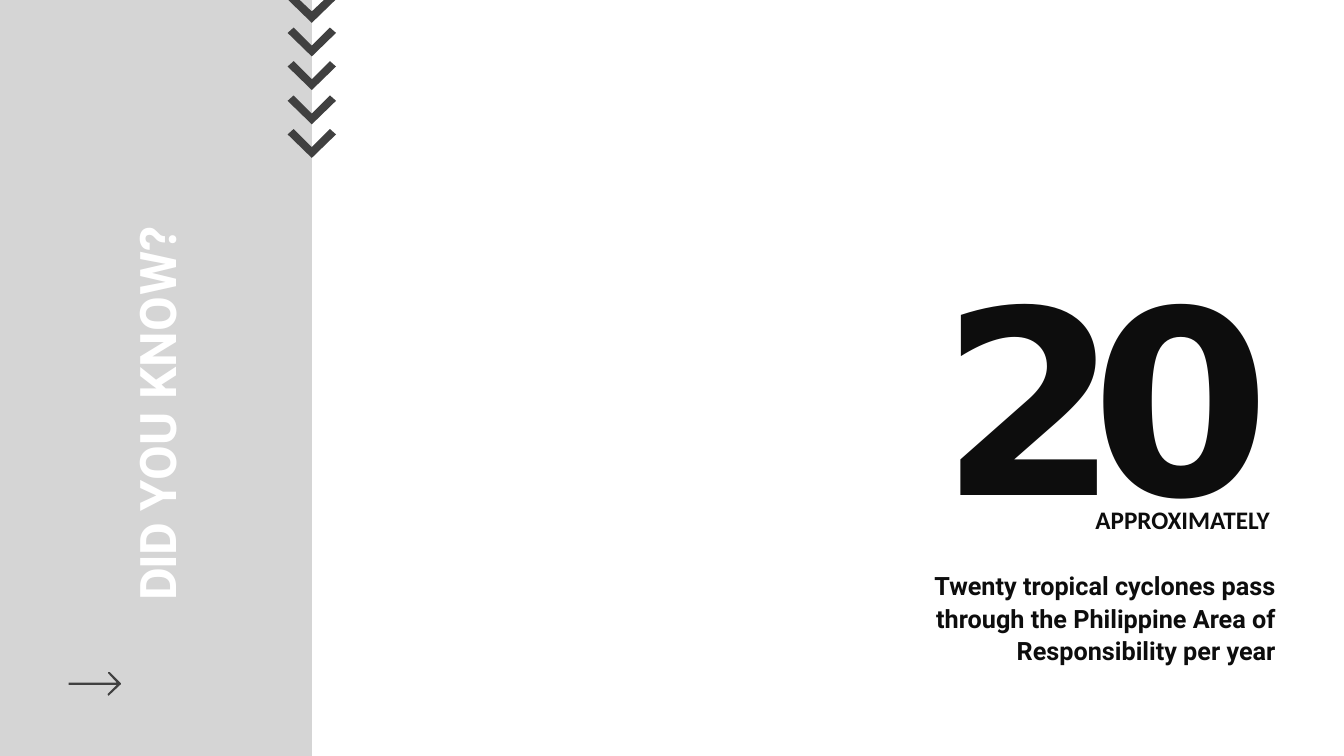
from pptx import Presentation
from pptx.dml.color import RGBColor
from pptx.enum.shapes import MSO_SHAPE as Shape
from pptx.enum.text import MSO_ANCHOR as Anchor, MSO_AUTO_SIZE as AutoSize, PP_ALIGN as Align
from pptx.util import Inches, Pt

# Content: each text is a list of (wording, letter spacing in points)
COLORS = {"panel": "D5D5D5", "mark": "404040", "ink": "0D0D0D", "white": "FFFFFF"}
# The title box is given before its quarter turn
TITLE = dict(runs=[("DID ", -1.3), ("YOU ", 0.3), ("KNOW?", 0.4)],
             box=(-1.55, 4.63, 7.73, 0.91), font="Roboto", size=54, color="white")
TEXTS = [
    dict(runs=[("20", -30.1)], box=(12.06, 3.53, 6.85, 4.66),
         font="DejaVu Sans", size=276, align=Align.RIGHT),
    dict(runs=[("Twenty tropical cyclones pass through the Philippine Area of "
                "Responsibility per year", 0)],
         box=(12.41, 8.45, 6.57, 1.43), font="Roboto", size=27,
         align=Align.RIGHT, indent=1, line_spacing=1.07),
    dict(runs=[("APPROXIMATELY", 0)], box=(15.29, 7.46, 3.7, 0.48),
         font="Calibri", size=27, indent=1, line_spacing=1.07),
]

# Menu bars: left, first top, width, height, step and count
BAR_LEFT, BAR_TOP, BAR_WIDTH, BAR_HEIGHT, BAR_STEP, BAR_COUNT = 18.37, 1.12, 0.51, 0.06, 0.14, 3

# Outlines in hundredths of an inch
UNIT = Inches(0.01)
PANEL_WIDTH = 464
ARROW = [(180, 1017), (163, 1000), (161, 1000), (161, 1002), (174, 1016), (102, 1016),
         (102, 1019), (174, 1019), (160, 1033), (161, 1035), (162, 1035), (180, 1018)]
CHEVRON = [(36, -35), (27, -43), (0, -16), (-27, -43), (-36, -35), (0, 0)]
CUT_CHEVRON = [(35, -34), (18, -34), (0, -17), (-18, -34), (-35, -34), (0, 0)]
FIRST_TIP, TIP_STEP, CHEVRON_COUNT = 34, 50.25, 5


def rgb(name):
    return RGBColor.from_string(COLORS[name])


def paint(shape, color):
    shape.fill.solid()
    shape.fill.fore_color.rgb = rgb(color)
    shape.line.fill.background()
    shape.shadow.inherit = False


def write(shape, runs, box, font, size, color="ink", align=Align.LEFT,
          indent=0, line_spacing=None):
    shape.left, shape.top, shape.width, shape.height = map(Inches, box)
    frame = shape.text_frame
    frame.word_wrap = True
    frame.auto_size = AutoSize.NONE
    frame.vertical_anchor = Anchor.TOP
    frame.margin_left = frame.margin_right = frame.margin_bottom = 0
    frame.margin_top = Inches(0.01)
    paragraph = frame.paragraphs[0]
    paragraph.alignment = align
    paragraph.space_before = Pt(1)
    paragraph.line_spacing = line_spacing
    properties = paragraph._p.get_or_add_pPr()
    properties.set("marL", str(Inches(0.01)))
    properties.set("indent", str(Inches(indent)))
    paragraph.font.name = font
    paragraph.font.size = Pt(size)
    paragraph.font.bold = True
    paragraph.font.color.rgb = rgb(color)
    for wording, spacing in runs:
        run = paragraph.add_run()
        run.text = wording
        if spacing:
            run._r.get_or_add_rPr().set("spc", str(round(spacing * 100)))


def chevron_at(number):
    points = CHEVRON if number else CUT_CHEVRON
    tip = FIRST_TIP + round(number * TIP_STEP)
    return [(PANEL_WIDTH + x, tip + y) for x, y in points]


presentation = Presentation()
presentation.slide_width, presentation.slide_height = Inches(20), Inches(11.25)
slide = presentation.slides.add_slide(presentation.slide_layouts[5])
shapes = slide.shapes

# Side panel, placed behind the title
panel = shapes.add_shape(Shape.RECTANGLE, 0, 0, PANEL_WIDTH * UNIT, presentation.slide_height)
paint(panel, "panel")
title = shapes.title
panel._element.addnext(title._element)

# Title, reading upwards
write(title, **TITLE)
title.rotation = 270

# Figure, statement and label
for text in TEXTS:
    write(shapes.add_textbox(*map(Inches, text["box"])), **text)

# Menu bars
for number in range(BAR_COUNT):
    top = BAR_TOP + number * BAR_STEP
    bar = shapes.add_shape(Shape.RECTANGLE, *map(Inches, (BAR_LEFT, top, BAR_WIDTH, BAR_HEIGHT)))
    paint(bar, "white")

# Arrow and column of chevrons, one shape with several outlines
builder = shapes.build_freeform(*ARROW[0], scale=UNIT)
builder.add_line_segments(ARROW[1:], close=True)
for number in range(CHEVRON_COUNT):
    points = chevron_at(number)
    builder.move_to(*points[0])
    builder.add_line_segments(points[1:], close=True)
paint(builder.convert_to_shape(), "mark")

presentation.save("out.pptx")
